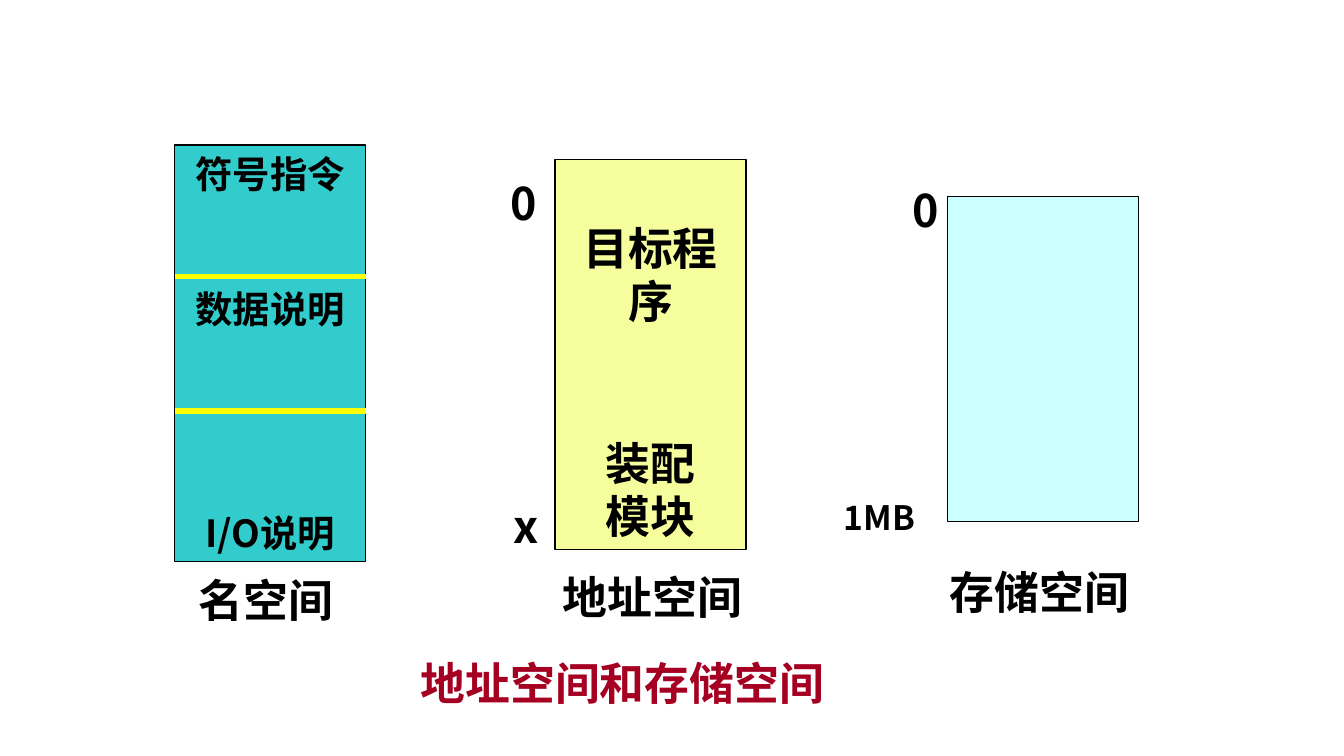
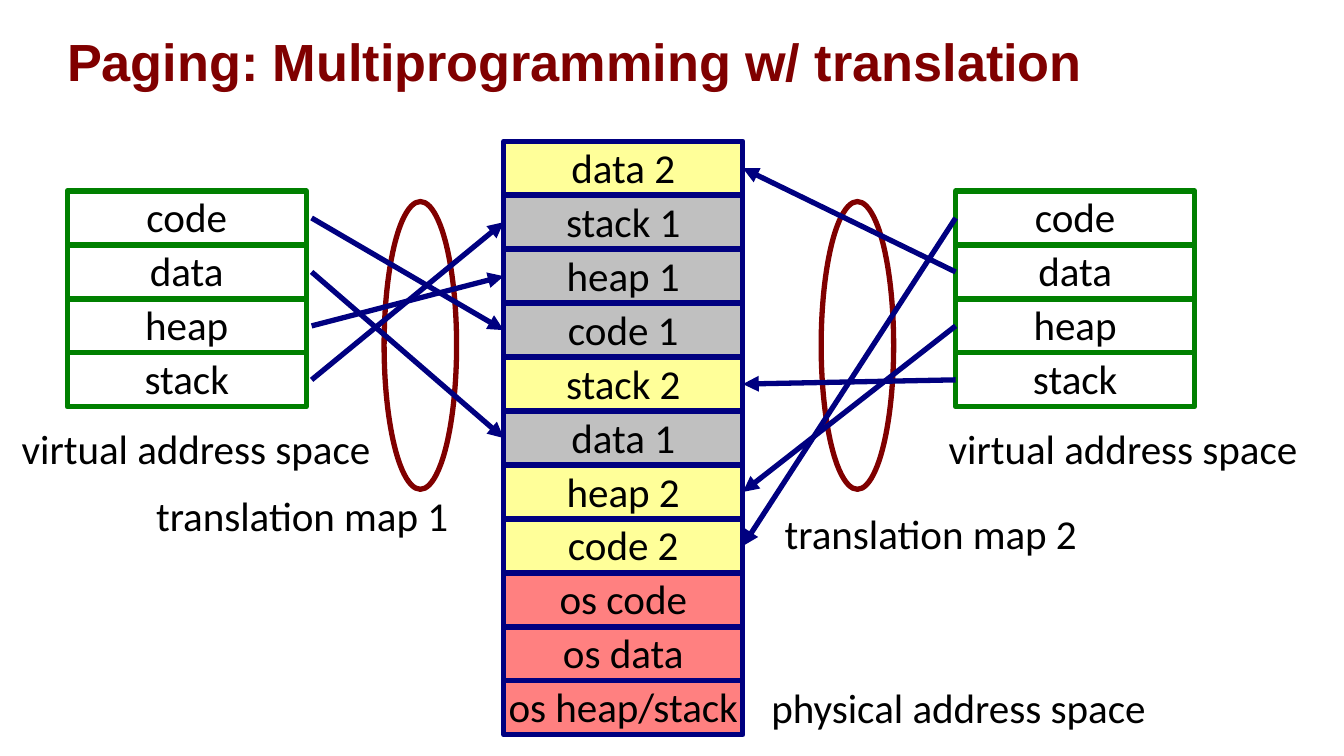
from lxml import etree
from pptx import Presentation
from pptx.dml.color import RGBColor
from pptx.enum.shapes import MSO_CONNECTOR, MSO_SHAPE
from pptx.enum.text import MSO_ANCHOR, PP_ALIGN
from pptx.oxml.ns import qn
from pptx.util import Cm, Pt

RECT, OVAL = MSO_SHAPE.RECTANGLE, MSO_SHAPE.OVAL
LINE = MSO_CONNECTOR.STRAIGHT
TOP, MID, LOW = MSO_ANCHOR.TOP, MSO_ANCHOR.MIDDLE, MSO_ANCHOR.BOTTOM
LEFT, CENTER = PP_ALIGN.LEFT, PP_ALIGN.CENTER

HUES = {
    "ink": "000000", "red": "A50021", "teal": "33CCCC", "lime": "F6FD9D",
    "sky": "CCFFFF", "gold": "FFFF00", "wine": "800000", "navy": "000080",
    "green": "008000", "cream": "FFFF99", "gray": "C0C0C0", "rose": "FF8080",
}
HAN = {"font": "Noto Sans CJK SC", "size": 24, "bold": True,
       "lead": Pt(28.8), "pad": (0.25, 0.13, 0.25, 0.13)}
SMALL = {**HAN, "size": 20, "lead": Pt(24)}
TINY = {**HAN, "size": 18, "lead": Pt(21.6)}
BODY = {"font": "Calibri", "size": 22, "bold": False,
        "lead": 0.93, "pad": (0.05, 0.1, 0.05, 0.05)}
HEAD = {"font": "Arial", "size": 28, "bold": True,
        "lead": 1.0, "pad": (0, 0.08, 0, 0)}

ROW, WIDE, EDGE = 1.02, 4.52, 2.83
PARTS = ["code", "data", "heap", "stack"]
FRAMES = ["data 2", "stack 1", "heap 1", "code 1", "stack 2", "data 1",
          "heap 2", "code 2", "os code", "os data", "os heap/stack"]


def hue(name):
    """Return the named colour."""
    return RGBColor.from_string(HUES[name])


def write(shape, text, look, color="ink", align=LEFT, anchor=TOP, wrap=False, gaps=()):
    """Fill a shape with styled lines; gaps gives the space before each, in points."""
    frame = shape.text_frame
    frame.text = text
    frame.word_wrap = wrap
    frame.vertical_anchor = anchor
    (frame.margin_left, frame.margin_top,
     frame.margin_right, frame.margin_bottom) = map(Cm, look["pad"])
    for num, para in enumerate(frame.paragraphs):
        para.alignment = align
        para.line_spacing = look["lead"]
        if gaps:
            para.space_before = Pt(gaps[num])
        for run in para.runs:
            font = run.font
            font.size, font.bold = Pt(look["size"]), look["bold"]
            font.color.rgb = hue(color)
            font.name = look["font"]
            east = etree.SubElement(run._r.get_or_add_rPr(), qn("a:ea"))
            east.set("typeface", look["font"])


def label(slide, text, x, y, w, h, look, **style):
    """Add a line of free text."""
    write(slide.shapes.add_textbox(Cm(x), Cm(y), Cm(w), Cm(h)), text, look, **style)


def block(slide, x, y, w, h, fill, line, weight, kind=RECT):
    """Add an outlined shape, hollow when fill is None."""
    shape = slide.shapes.add_shape(kind, Cm(x), Cm(y), Cm(w), Cm(h))
    shape.shadow.inherit = False
    if fill:
        shape.fill.solid()
        shape.fill.fore_color.rgb = hue(fill)
    else:
        shape.fill.background()
    shape.line.color.rgb = hue(line)
    shape.line.width = Pt(weight)
    return shape


def rule(slide, start, end, color, weight):
    """Add a straight line between two points."""
    line = slide.shapes.add_connector(LINE, *start, *end)
    line.line.color.rgb = hue(color)
    line.line.width = Pt(weight)
    etree.SubElement(line._element.spPr, qn("a:effectLst"))
    return line


def arrow(slide, start, goal, side):
    """Add an arrow from a point to a side of the goal cell."""
    line = rule(slide, start, start, "navy", EDGE)
    line.end_connect(goal, side)
    etree.SubElement(line.line._get_or_add_ln(), qn("a:tailEnd"), type="triangle")
    return line


def stack(slide, x, y, names, fills, line):
    """Add a column of labelled cells and return them by name."""
    cells = {}
    for num, (name, fill) in enumerate(zip(names, fills)):
        cell = block(slide, x, y + num * ROW, WIDE, ROW, fill, line, EDGE)
        write(cell, name, BODY, align=CENTER, anchor=MID)
        cells[name] = cell
    return cells


def tint(name):
    """Choose a frame's fill by its owner."""
    if name.startswith("os"):
        return "rose"
    return "gray" if name.endswith("1") else "cream"


def spaces(slide):
    """Draw the name, address and storage spaces."""
    label(slide, "地址空间和存储空间", 7.7, 11.94, 17.5, 1.6, HAN,
          color="red", anchor=LOW, wrap=True)
    names = block(slide, 3.3, 2.74, 3.61, 7.87, "teal", "ink", 0.75)
    write(names, "符号指令\n数据说明\nI/O说明", SMALL, align=CENTER,
          anchor=MID, wrap=True, gaps=(0, 48, 96))
    goal = block(slide, 10.49, 3.02, 3.61, 7.37, "lime", "ink", 0.75)
    write(goal, "目标程序\n装配\n模块", HAN, align=CENTER,
          anchor=LOW, wrap=True, gaps=(0, 57.6, 0))
    block(slide, 17.91, 3.71, 3.61, 6.15, "sky", "ink", 0.75)
    for y in (5.23, 7.77):
        rule(slide, (Cm(3.3), Cm(y)), (Cm(6.91), Cm(y)), "gold", 3)
    for text, x, y, w in (
        ("名空间", 3.51, 10.69, 3.05), ("地址空间", 10.39, 10.64, 3.89),
        ("存储空间", 17.7, 10.54, 3.89), ("0", 16.99, 3.33, 0.99),
        ("0", 9.4, 3.2, 0.99), ("x", 9.45, 9.3, 0.99),
    ):
        label(slide, text, x, y, w, 1.27, HAN)
    label(slide, "1MB", 15.7, 9.27, 2.21, 1.02, TINY, wrap=True)


def paging(slide):
    """Draw two virtual spaces mapped onto physical memory."""
    label(slide, "Paging: Multiprogramming w/ translation", 1.27, 0.38,
          22.86, 1.45, HEAD, color="wine", anchor=MID, wrap=True)
    frames = stack(slide, 9.52, 2.67, FRAMES, map(tint, FRAMES), "navy")
    hollow = [None] * len(PARTS)
    first = stack(slide, 1.27, 3.61, PARTS, hollow, "green")
    second = stack(slide, 18.06, 3.61, PARTS, hollow, "green")
    for x in (7.26, 15.52):
        block(slide, x, 3.81, 1.37, 5.44, None, "wine", EDGE, OVAL)
    for part in PARTS:
        cell = first[part]
        start = cell.left + cell.width + Cm(0.1), cell.top + cell.height // 2
        arrow(slide, start, frames[part + " 1"], 1)
    for part in PARTS:
        cell = second[part]
        line = arrow(slide, (cell.left, cell.top), frames[part + " 2"], 3)
        line.begin_connect(cell, 1)
    for text, x, y, w in (
        ("translation map 1", 2.9, 9.25, 5.99),
        ("translation map 2", 14.78, 9.6, 5.99),
        ("virtual address space", 0.36, 7.98, 7.34),
        ("virtual address space", 17.88, 7.98, 7.34),
        ("physical address space", 14.53, 12.88, 8.08),
    ):
        label(slide, text, x, y, w, 0.71, BODY)


def main():
    """Build both slides and save the deck."""
    deck = Presentation()
    deck.slide_width, deck.slide_height = Cm(25.4), Cm(14.29)
    for draw in (spaces, paging):
        draw(deck.slides.add_slide(deck.slide_layouts[6]))
    deck.save("out.pptx")


if __name__ == "__main__":
    main()
